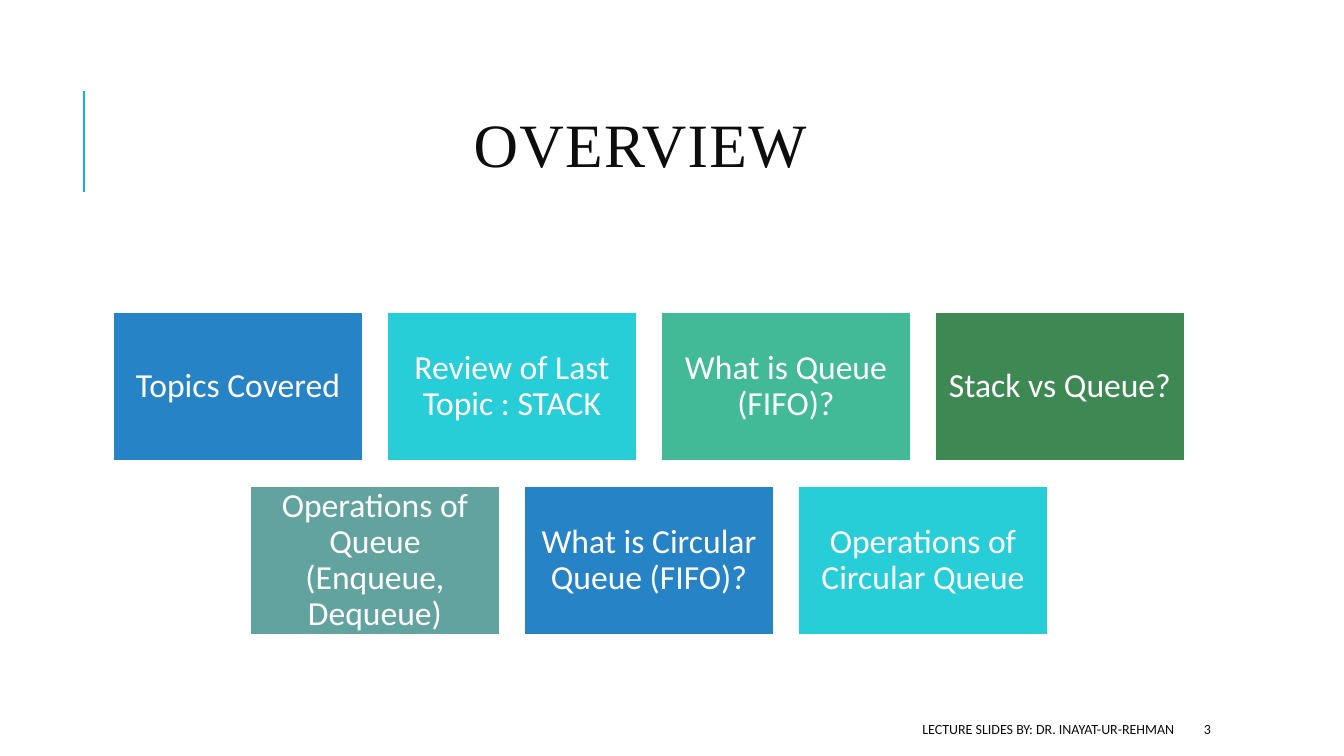
import pptx
import pptx.dml.color
import pptx.enum.shapes
import pptx.enum.text
import pptx.oxml
import pptx.util
from dataclasses import dataclass

# Content
TITLE = "OVERVIEW"
TOPIC_ROWS = [
    [
        ("Topics Covered", "blue"),
        ("Review of Last Topic : STACK", "cyan"),
        ("What is Queue (FIFO)?", "mint"),
        ("Stack vs Queue?", "green"),
    ],
    [
        ("Operations of Queue (Enqueue, Dequeue)", "sage"),
        ("What is Circular Queue (FIFO)?", "blue"),
        ("Operations of Circular Queue", "cyan"),
    ],
]
FOOTER = "LECTURE SLIDES BY: DR. INAYAT-UR-REHMAN"
SLIDE_NUMBER = "3"


@dataclass(frozen=True)
class Theme:
    blue: str = "2683C6"
    cyan: str = "27CED7"
    mint: str = "42BA97"
    green: str = "3E8853"
    sage: str = "62A39F"
    accent: str = "1CADE4"
    ink: str = "0D0D0D"
    white: str = "FFFFFF"
    title_font: str = "Times New Roman"
    body_font: str = "Calibri"
    title_size: int = 44
    title_end_size: int = 50
    topic_size: int = 24
    footer_size: int = 10


THEME = Theme()

# Geometry in px
SLIDE_WIDTH, SLIDE_HEIGHT = 1344, 756
TITLE_BOX = (113, 65, 1072, 165)
RULE_X, RULE_TOP, RULE_BOTTOM = 84, 91, 192
CARD_WIDTH, CARD_HEIGHT, CARD_GAP = 249, 149, 25
CARDS_TOP, CARDS_CENTER = 312, 649
CARD_INSET = 10
FOOTER_BOX = (534, 714, 650, 30)
NUMBER_BOX = (1194, 714, 107, 30)

ALIGN = pptx.enum.text.PP_ALIGN


def px(length):
    return pptx.util.Emu(round(length * 914400 / 100.8))


def rgb(code):
    return pptx.dml.color.RGBColor.from_string(code)


def style_font(font, name, size, color):
    font.name = name
    font.size = pptx.util.Pt(size)
    font.color.rgb = rgb(color)


def write(shape, text, size, color, alignment):
    frame = shape.text_frame
    frame.word_wrap = True
    frame.vertical_anchor = pptx.enum.text.MSO_ANCHOR.MIDDLE
    paragraph = frame.paragraphs[0]
    paragraph.text = text
    paragraph.alignment = alignment
    style_font(paragraph.font, THEME.body_font, size, color)
    return frame


def add_rule(slide):
    rule = slide.shapes.add_connector(
        pptx.enum.shapes.MSO_CONNECTOR.STRAIGHT,
        px(RULE_X), px(RULE_BOTTOM), px(RULE_X), px(RULE_TOP))
    rule.line.color.rgb = rgb(THEME.accent)
    rule.line.width = pptx.util.Pt(1.5)
    properties = rule._element.spPr
    properties.append(pptx.oxml.parse_xml(
        '<a:effectLst xmlns:a="http://schemas.openxmlformats.org/drawingml/2006/main"/>'))


def format_title(title):
    title.left, title.top, title.width, title.height = map(px, TITLE_BOX)
    frame = title.text_frame
    frame.word_wrap = True
    frame.vertical_anchor = pptx.enum.text.MSO_ANCHOR.MIDDLE
    paragraph = frame.paragraphs[0]
    paragraph.alignment = ALIGN.CENTER
    paragraph.line_spacing = 0.8
    # The larger closing space sets the line height and the centring
    for text, name, size in [
        (TITLE, THEME.title_font, THEME.title_size),
        (" ", THEME.body_font, THEME.title_end_size),
    ]:
        run = paragraph.add_run()
        run.text = text
        style_font(run.font, name, size, THEME.ink)
        run._r.get_or_add_rPr().set("spc", "100")


def add_card(slide, left, top, text, color):
    card = slide.shapes.add_shape(
        pptx.enum.shapes.MSO_SHAPE.RECTANGLE,
        px(left), px(top), px(CARD_WIDTH), px(CARD_HEIGHT))
    card.shadow.inherit = False
    card.fill.solid()
    card.fill.fore_color.rgb = rgb(color)
    card.line.color.rgb = rgb(THEME.white)
    card.line.width = pptx.util.Pt(1.25)
    frame = write(card, text, THEME.topic_size, THEME.white, ALIGN.CENTER)
    frame.paragraphs[0].line_spacing = 0.9
    frame.margin_left = frame.margin_right = px(CARD_INSET)
    frame.margin_top = frame.margin_bottom = px(CARD_INSET)


def main():
    presentation = pptx.Presentation()
    presentation.slide_width = px(SLIDE_WIDTH)
    presentation.slide_height = px(SLIDE_HEIGHT)
    slide = presentation.slides.add_slide(presentation.slide_layouts[5])

    # Heading
    add_rule(slide)
    format_title(slide.shapes.title)

    # Topic cards, each row centred
    for row, topics in enumerate(TOPIC_ROWS):
        row_width = len(topics) * (CARD_WIDTH + CARD_GAP) - CARD_GAP
        row_left = CARDS_CENTER - row_width / 2
        top = CARDS_TOP + row * (CARD_HEIGHT + CARD_GAP)
        for column, (text, color) in enumerate(topics):
            left = row_left + column * (CARD_WIDTH + CARD_GAP)
            add_card(slide, left, top, text, getattr(THEME, color))

    # Footer and slide number
    for box, text, alignment in [
        (FOOTER_BOX, FOOTER, ALIGN.RIGHT),
        (NUMBER_BOX, SLIDE_NUMBER, ALIGN.LEFT),
    ]:
        label = slide.shapes.add_textbox(*map(px, box))
        write(label, text, THEME.footer_size, THEME.ink, alignment)

    presentation.save("out.pptx")


if __name__ == "__main__":
    main()
